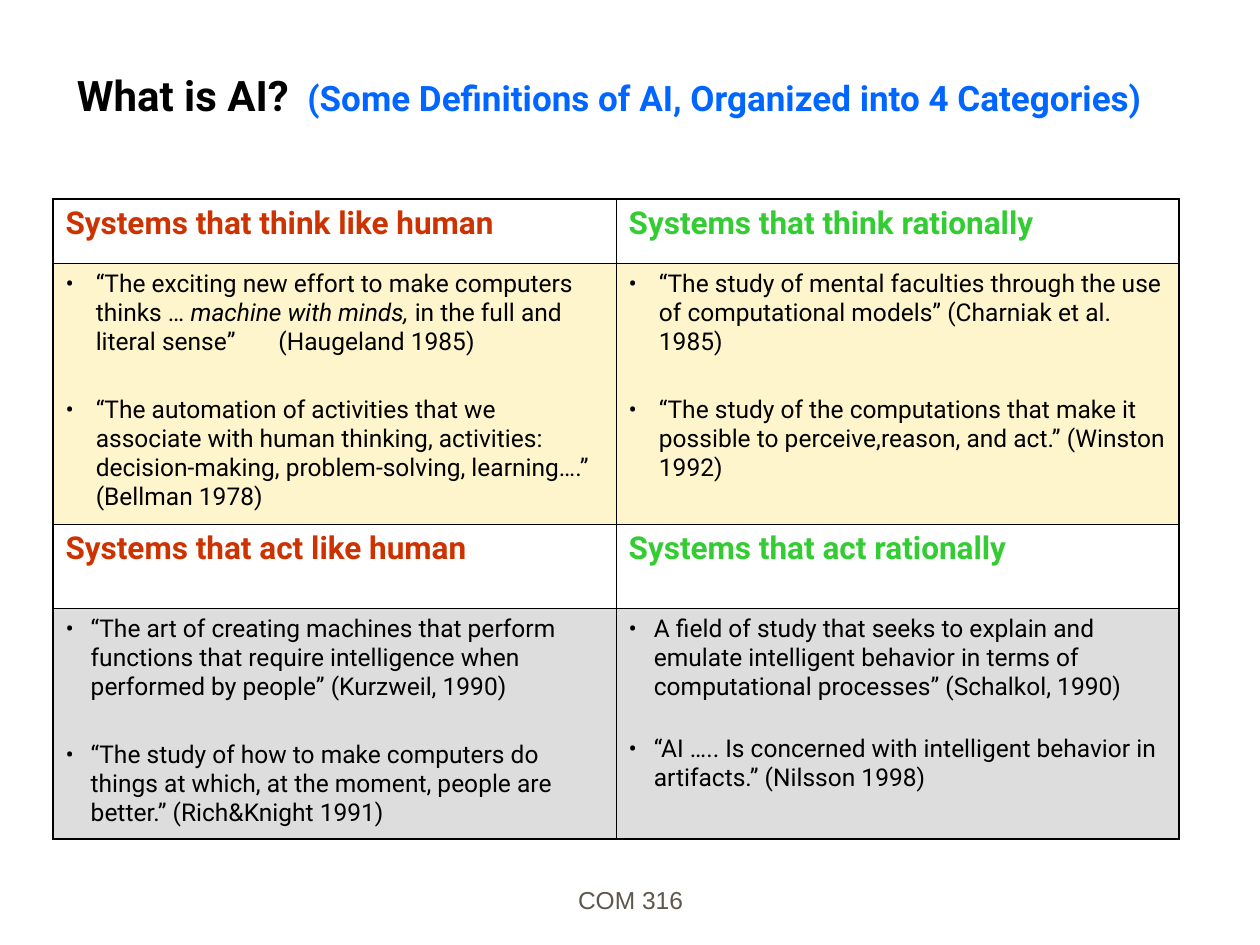
from dataclasses import dataclass

from lxml import etree
from pptx import Presentation
from pptx.dml.color import RGBColor
from pptx.enum.text import MSO_ANCHOR, MSO_AUTO_SIZE, PP_ALIGN
from pptx.oxml.ns import qn
from pptx.util import Inches, Pt

BOTTOM = MSO_ANCHOR.BOTTOM
NO_AUTOFIT = MSO_AUTO_SIZE.NONE
LEFT, CENTER = PP_ALIGN.LEFT, PP_ALIGN.CENTER


@dataclass(frozen=True)
class Theme:
    font: str = "Roboto"
    footer_font: str = "Arial"
    black: str = "000000"
    blue: str = "0066FF"
    red: str = "CC3300"
    green: str = "33CC33"
    cream: str = "FFF5CC"
    gray: str = "DDDDDD"
    footer: str = "5E574E"
    title_size: float = 24
    subtitle_size: float = 20
    heading_size: float = 18
    body_size: float = 14
    outer_line: float = 1.08
    inner_line: float = 0.45


@dataclass(frozen=True)
class Run:
    text: str
    size: float
    color: str
    bold: bool = False
    italic: bool = False
    font: str = "Roboto"


@dataclass(frozen=True)
class Category:
    heading: str
    color: str
    fill: str
    quotes: tuple
    indent: float
    gap: float = 22.3
    tab: float = 0


T = Theme()
CATEGORIES = [
    [
        Category("Systems that think like human", T.red, T.cream, (
            ("“The exciting new effort to make computers thinks … ",
             "machine with minds,",
             " in the full and literal sense”\t(Haugeland 1985)"),
            ("“The automation of activities that we associate with human "
             "thinking, activities: decision-making, problem-solving, "
             "learning….” (Bellman 1978)",),
        ), 0.24, tab=1.69),
        Category("Systems that think rationally", T.green, T.cream, (
            ("“The study of mental faculties through the use of "
             "computational models” (Charniak et al. 1985)",),
            ("“The study of the computations that make it possible to "
             "perceive,reason, and act.” (Winston 1992)",),
        ), 0.24),
    ],
    [
        Category("Systems that act like human", T.red, T.gray, (
            ("“The art of creating machines that perform functions that "
             "require intelligence when performed by people” "
             "(Kurzweil, 1990)",),
            ("“The study of how to make computers do things at which, at "
             "the moment, people are better.” (Rich&Knight 1991)",),
        ), 0.2),
        Category("Systems that act rationally", T.green, T.gray, (
            ("A field of study that seeks to explain and emulate "
             "intelligent behavior in terms of computational processes” "
             "(Schalkol, 1990)",),
            ("“AI ….. Is concerned with intelligent behavior in "
             "artifacts.” (Nilsson 1998)",),
        ), 0.2, gap=18.9),
    ],
]
ROW_HEIGHTS = (0.51, 2.07, 0.67, 1.83)
COLUMN_WIDTH = 4.47


def add_run(p, run: Run) -> None:
    r = p.add_run()
    r.text = run.text
    f = r.font
    f.name, f.size, f.bold, f.italic = run.font, Pt(run.size), run.bold, run.italic
    f.color.rgb = RGBColor.from_string(run.color)


def add_tab(p, position: float) -> None:
    tabs = etree.SubElement(p._p.get_or_add_pPr(), qn("a:tabLst"))
    etree.SubElement(tabs, qn("a:tab"), pos=str(Inches(position)), algn="l")


def add_bullet(p, indent: float) -> None:
    pPr = p._p.get_or_add_pPr()
    pPr.set("marL", str(Inches(indent)))
    pPr.set("indent", str(-Inches(indent)))
    color = etree.SubElement(pPr, qn("a:buClr"))
    etree.SubElement(color, qn("a:srgbClr"), val=T.black)
    etree.SubElement(pPr, qn("a:buFont"), typeface=T.font)
    etree.SubElement(pPr, qn("a:buChar"), char="•")


def set_borders(cell, row: int, col: int) -> None:
    outer = {"L": col == 0, "R": col == 1, "T": row == 0,
             "B": row == len(ROW_HEIGHTS) - 1}
    tcPr = cell._tc.get_or_add_tcPr()
    for i, (side, is_outer) in enumerate(outer.items()):
        width = T.outer_line if is_outer else T.inner_line
        ln = etree.Element(qn(f"a:ln{side}"), w=str(Pt(width)))
        fill = etree.SubElement(ln, qn("a:solidFill"))
        etree.SubElement(fill, qn("a:srgbClr"), val=T.black)
        tcPr.insert(i, ln)


def fill_heading(cell, category: Category) -> None:
    cell.fill.background()
    add_run(cell.text_frame.paragraphs[0],
            Run(category.heading, T.heading_size, category.color, bold=True))


def fill_quotes(cell, category: Category) -> None:
    cell.fill.solid()
    cell.fill.fore_color.rgb = RGBColor.from_string(category.fill)
    tf = cell.text_frame
    for i, parts in enumerate(category.quotes):
        p = tf.add_paragraph() if i else tf.paragraphs[0]
        add_bullet(p, category.indent)
        if category.tab and not i:
            add_tab(p, category.tab)
        if i:
            p.space_before = Pt(category.gap)
        for j, text in enumerate(parts):
            add_run(p, Run(text, T.body_size, T.black, italic=j == 1))


def add_title(slide) -> None:
    sp = slide.shapes.title
    sp.left, sp.top = Inches(0.51), Inches(0.25)
    sp.width, sp.height = Inches(8.92), Inches(0.75)
    tf = sp.text_frame
    tf.auto_size, tf.vertical_anchor = NO_AUTOFIT, BOTTOM
    p = tf.paragraphs[0]
    add_tab(p, 1.83)
    p.alignment = LEFT
    add_run(p, Run("What is AI?\t", T.title_size, T.black, bold=True))
    add_run(p, Run("(Some Definitions of AI, Organized into 4 Categories)",
                   T.subtitle_size, T.blue, bold=True))


def add_definitions(slide) -> None:
    table = slide.shapes.add_table(
        len(ROW_HEIGHTS), 2, Inches(0.42), Inches(1.58),
        Inches(2 * COLUMN_WIDTH), Inches(sum(ROW_HEIGHTS))).table
    table.first_row = table.horz_banding = False
    for column in table.columns:
        column.width = Inches(COLUMN_WIDTH)
    for row, height in zip(table.rows, ROW_HEIGHTS):
        row.height = Inches(height)
    for i, pair in enumerate(CATEGORIES):
        for col, category in enumerate(pair):
            for row, fill in ((2 * i, fill_heading), (2 * i + 1, fill_quotes)):
                cell = table.cell(row, col)
                fill(cell, category)
                set_borders(cell, row, col)


def add_footer(slide) -> None:
    sp = slide.shapes.add_textbox(Inches(3.42), Inches(6.81),
                                  Inches(3.17), Inches(0.5))
    tf = sp.text_frame
    tf.word_wrap, tf.vertical_anchor = True, BOTTOM
    p = tf.paragraphs[0]
    p.alignment = CENTER
    add_run(p, Run("COM 316", T.body_size, T.footer, font=T.footer_font))


def main() -> None:
    prs = Presentation()
    prs.slide_width, prs.slide_height = Inches(10), Inches(7.5)
    slide = prs.slides.add_slide(prs.slide_layouts[5])
    add_footer(slide)
    add_title(slide)
    add_definitions(slide)
    prs.save("out.pptx")


if __name__ == "__main__":
    main()
